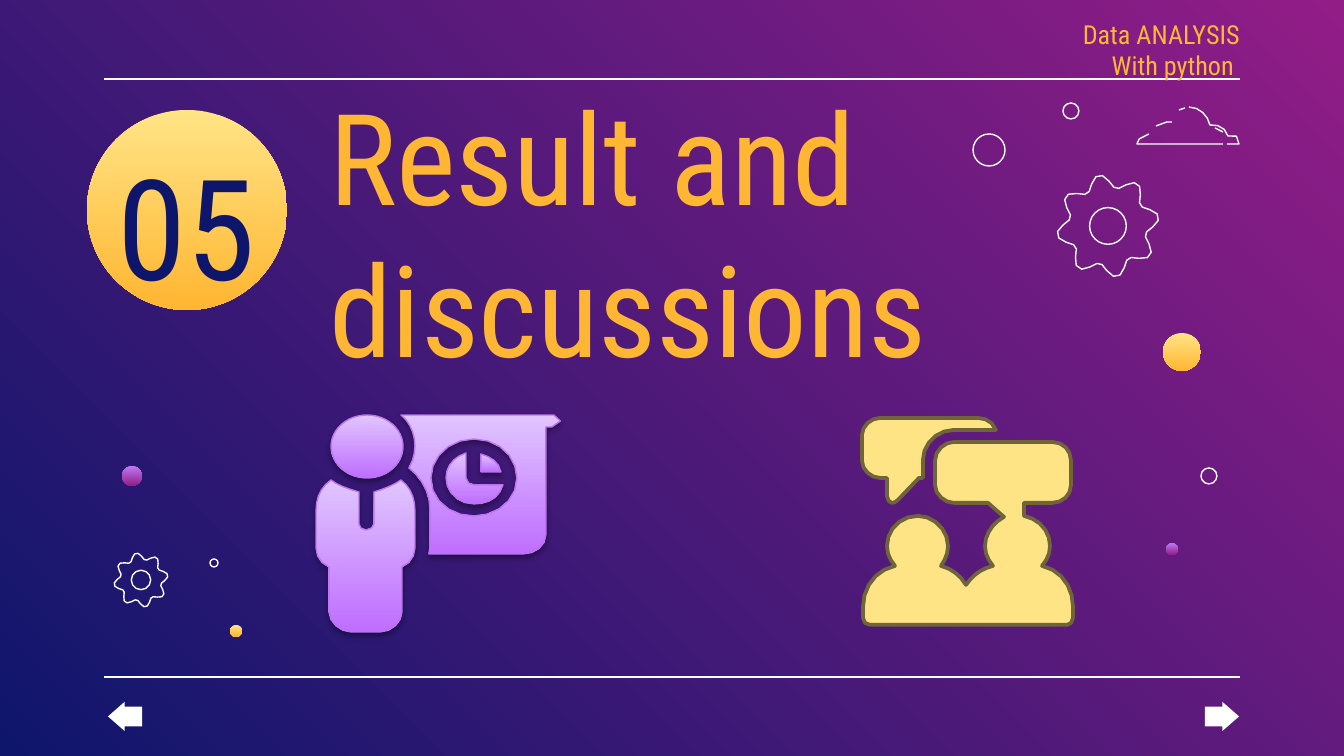
import math
from lxml import etree
from pptx import Presentation
from pptx.dml.color import RGBColor
from pptx.enum.shapes import MSO_CONNECTOR, MSO_SHAPE
from pptx.enum.text import MSO_ANCHOR, MSO_AUTO_SIZE, PP_ALIGN
from pptx.oxml import parse_xml
from pptx.oxml.ns import qn
from pptx.util import Pt

OVAL, LEFT_ARROW, RIGHT_ARROW = MSO_SHAPE.OVAL, MSO_SHAPE.LEFT_ARROW, MSO_SHAPE.RIGHT_ARROW
LEFT, CENTER, RIGHT = PP_ALIGN.LEFT, PP_ALIGN.CENTER, PP_ALIGN.RIGHT
EMU_PER_PX = 914400 / 134.4
WIDTH, HEIGHT = 1344, 756
TITLE_ONLY = 5
CURVE_STEP, MOST_STEPS = 7, 5
GEAR_TEETH, GEAR_PHASE, POINTS_PER_TOOTH = 8, 35, 6

COLORS = {
    "magenta": "921D87", "navy": "0E166C", "amber": "FFB632", "yellow": "FFE485",
    "olive": "70643A", "orchid": "BE7AF3", "lilac": "E1C5FF", "violet": "BF6EFF",
    "mauve": "BA74F1", "white": "FFFFFF",
}
FONT = "Roboto Condensed"
TITLE = (["Result and discussions"], (316, 103, 689, 255), 68, "amber", LEFT, 13)
TEXTS = [
    (["05"], (86, 168, 202, 112), 75, "navy", CENTER, 13),
    (["Data ANALYSIS", "With python "], (1038, 24, 202, 51), 14, "amber", RIGHT, 0),
]
RULES_Y = [79, 677]
RULE_LEFT, RULE_RIGHT = 104, 1240

GOLD, PLUM, PURPLE = ("yellow", "amber"), ("orchid", "magenta"), ("lilac", "violet")
BALLS = [
    (187, 210, 100, GOLD), (1182, 352, 19, GOLD), (236, 631, 6, GOLD),
    (132, 476, 10, PLUM), (1172, 549, 6, PLUM),
]
RINGS = [(1071, 111, 8), (1209, 476, 8), (989, 150, 16), (214, 563, 4)]
GEARS = [(1108, 226, 51), (141, 580, 27)]
NAVIGATION = [(LEFT_ARROW, 108), (RIGHT_ARROW, 1205)]

CLOUD = """M 1189,107 C 1200,107 1208,116 1210,125 C 1218,124 1226,128 1228,136
C 1234,133 1241,137 1239,144 L 1227,144 M 1185,108 L 1179,110
M 1223,144 L 1137,144 C 1137,144 1139,134 1149,134
M 1215,128 L 1223,132 M 1172,122 C 1172,122 1163,121 1156,126"""
DISCUSSION = [
    """M 880,418 C 871,418 862,426 862,435 L 862,461 C 862,470 871,478 880,478
    L 887,478 L 887,496 C 887,500 890,503 892,503 C 894,503 896,502 898,500 L 919,478
    L 923,478 L 923,460 C 923,444 937,430 954,430 L 996,430 C 993,422 986,418 978,418 Z""",
    """M 954,442 C 945,442 935,450 935,461 L 935,485 C 935,495 945,503 954,503
    L 988,503 L 1004,517 C 993,523 985,534 985,546 C 985,554 988,560 993,566
    C 981,569 973,575 966,585 C 960,575 952,569 941,566 C 945,560 948,554 948,546
    C 948,530 934,516 918,516 C 900,516 887,530 887,546 C 887,554 890,560 895,566
    C 876,570 863,587 863,607 L 863,618 C 863,622 866,625 870,625 L 1067,625
    C 1070,625 1073,622 1073,618 L 1073,607 C 1073,587 1061,570 1042,566
    C 1047,560 1050,554 1050,546 C 1050,531 1039,519 1024,516 L 1024,503 L 1052,503
    C 1063,503 1071,495 1071,485 L 1071,461 C 1071,450 1063,442 1052,442 Z""",
]
PRESENTER_HEAD = (331, 415, 72, 63)
PRESENTER = [
    """M 466,453 C 454,457 446,466 446,478 C 446,492 458,504 474,504
    C 487,504 499,499 503,485 L 474,485 C 470,485 466,482 466,478 Z""",
    "M 481,454 L 481,472 L 501,472 C 499,462 491,457 481,454 Z",
    """M 331,480 C 321,487 316,497 316,511 L 316,548 C 316,556 321,564 329,567
    L 329,612 C 329,622 340,632 351,632 L 380,632 C 392,632 402,622 402,612 L 402,567
    C 410,564 415,556 415,548 L 415,511 C 415,497 410,487 401,480
    C 394,485 384,489 374,492 L 374,524 C 374,527 370,530 366,530
    C 362,530 359,527 359,524 L 359,492 C 348,489 337,485 331,480 Z""",
    """M 474,439 C 499,439 517,457 517,478 C 517,500 497,516 474,516
    C 450,516 431,500 431,478 C 431,457 450,439 474,439 Z
    M 401,415 C 410,422 415,434 415,446 C 415,454 413,461 409,468
    C 422,478 430,493 430,509 L 430,547 L 429,554 L 523,554
    C 535,554 546,546 546,535 L 546,427 L 552,427 C 563,427 563,415 554,415 Z""",
]
SHADOW = """<a:effectLst xmlns:a="http://schemas.openxmlformats.org/drawingml/2006/main">
<a:outerShdw blurRad="39370" dist="22860" dir="5400000" algn="ctr" rotWithShape="0">
<a:srgbClr val="000000"><a:alpha val="35000"/></a:srgbClr></a:outerShdw></a:effectLst>"""


def px(*lengths):
    return [round(length * EMU_PER_PX) for length in lengths]


def rgb(name):
    return RGBColor.from_string(COLORS[name])


def set_gradient(fill, names, angle=270):
    fill.gradient()
    fill.gradient_angle = angle
    for stop, name in zip(fill.gradient_stops, names):
        stop.color.rgb = rgb(name)


def style(shape, fill=None, line=None, width=0.75, shadow=False):
    shape.shadow.inherit = False
    if fill is None:
        shape.fill.background()
    elif isinstance(fill, tuple):
        set_gradient(shape.fill, fill)
    else:
        shape.fill.solid()
        shape.fill.fore_color.rgb = rgb(fill)
    if line:
        shape.line.color.rgb = rgb(line)
        shape.line.width = Pt(width)
    else:
        shape.line.fill.background()
    if shadow:
        properties = shape._element.spPr
        properties.replace(properties.find(qn("a:effectLst")), parse_xml(SHADOW))
    return shape


def add_circle(slide, x, y, radius, **look):
    box = px(x - radius, y - radius, 2 * radius, 2 * radius)
    style(slide.shapes.add_shape(OVAL, *box), **look)


def curve_points(*corners):
    length = math.dist(corners[0], corners[-1])
    steps = max(2, min(MOST_STEPS, round(length / CURVE_STEP)))
    points = []
    for step in range(1, steps + 1):
        t = step / steps
        weights = [(1 - t) ** 3, 3 * t * (1 - t) ** 2, 3 * t * t * (1 - t), t ** 3]
        points.append(tuple(sum(w * c for w, c in zip(weights, axis)) for axis in zip(*corners)))
    return points


def flatten(outline):
    contours, command, controls = [], None, []
    for token in outline.split():
        if token == "Z":
            contours[-1][1] = True
        elif token in "MLC":
            command, controls = token, []
        else:
            controls.append(tuple(int(value) for value in token.split(",")))
            if command == "M":
                contours.append([controls, False])
            elif command == "L":
                contours[-1][0].extend(controls)
            elif len(controls) == 3:
                points = contours[-1][0]
                points.extend(curve_points(points[-1], *controls))
    return contours


def add_outline(slide, contours, **look):
    builder = slide.shapes.build_freeform(*px(*contours[0][0][0]))
    for index, (points, closed) in enumerate(contours):
        if index:
            builder.move_to(*px(*points[0]))
        builder.add_line_segments([px(*point) for point in points[1:]], close=closed)
    style(builder.convert_to_shape(), **look)


def add_gear(slide, x, y, radius, **look):
    points = []
    count = GEAR_TEETH * POINTS_PER_TOOTH
    for step in range(count):
        turn = math.tau * (step + 0.5) / count
        reach = radius * (0.88 + 0.12 * math.tanh(2 * math.cos(GEAR_TEETH * turn)))
        angle = turn + math.radians(GEAR_PHASE)
        points.append((x + reach * math.cos(angle), y + reach * math.sin(angle)))
    add_outline(slide, [(points, True)], **look)
    add_circle(slide, x, y, radius * 0.36, **look)


def write(shape, lines, box, size, color, alignment, right_inset):
    shape.left, shape.top, shape.width, shape.height = px(*box)
    frame = shape.text_frame
    inset = px(13)[0]
    settings = {
        "word_wrap": True, "auto_size": MSO_AUTO_SIZE.NONE, "vertical_anchor": MSO_ANCHOR.MIDDLE,
        "margin_left": inset, "margin_top": inset, "margin_bottom": inset,
        "margin_right": px(right_inset)[0],
    }
    for name, value in settings.items():
        setattr(frame, name, value)
    frame.text = "\n".join(lines)
    for paragraph in frame.paragraphs:
        paragraph.alignment = alignment
        font = paragraph.runs[0].font
        font.name, font.size, font.color.rgb = FONT, Pt(size), rgb(color)


def main():
    presentation = Presentation()
    presentation.slide_width, presentation.slide_height = px(WIDTH, HEIGHT)
    slide = presentation.slides.add_slide(presentation.slide_layouts[TITLE_ONLY])
    set_gradient(slide.background.fill, ("magenta", "navy"), 225)

    for y in RULES_Y:
        rule = slide.shapes.add_connector(MSO_CONNECTOR.STRAIGHT, *px(RULE_LEFT, y, RULE_RIGHT, y))
        rule.line.color.rgb = rgb("white")
        rule.line.width = Pt(0.75)
        etree.SubElement(rule._element.spPr, qn("a:effectLst"))
    for x, y, radius, fill in BALLS:
        add_circle(slide, x, y, radius, fill=fill)
    for ring in RINGS:
        add_circle(slide, *ring, line="white")
    for gear in GEARS:
        add_gear(slide, *gear, line="white")
    add_outline(slide, flatten(CLOUD), line="white")
    for kind, x in NAVIGATION:
        arrow = style(slide.shapes.add_shape(kind, *px(x, 702, 34, 29)), fill="white")
        arrow.adjustments[0], arrow.adjustments[1] = 0.68, 0.57

    for outline in DISCUSSION:
        add_outline(slide, flatten(outline), fill="yellow", line="olive", width=2)
    purple = {"fill": PURPLE, "line": "mauve", "shadow": True}
    style(slide.shapes.add_shape(OVAL, *px(*PRESENTER_HEAD)), **purple)
    for outline in PRESENTER:
        add_outline(slide, flatten(outline), **purple)

    write(slide.shapes.title, *TITLE)
    for text in TEXTS:
        write(slide.shapes.add_textbox(*px(*text[1])), *text)
    presentation.save("out.pptx")


if __name__ == "__main__":
    main()
